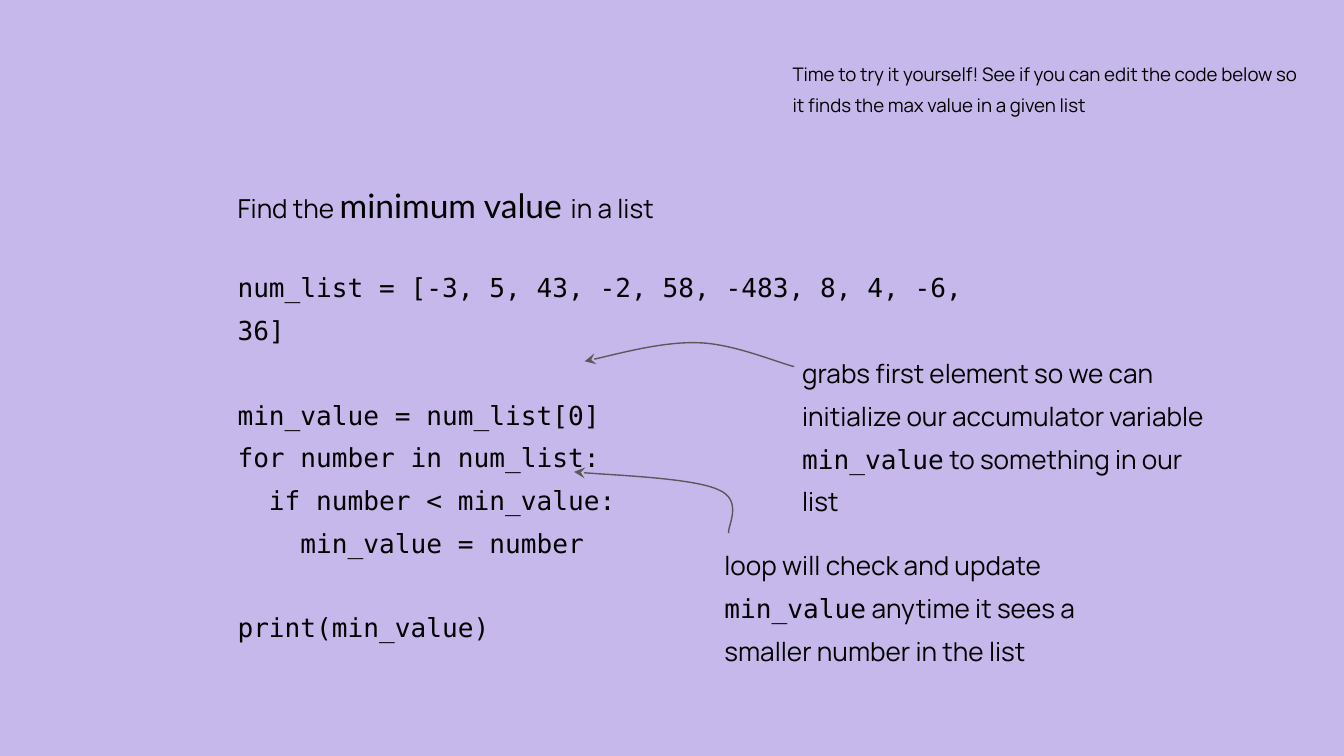
"""Build the slide on finding the minimum value in a list."""
from dataclasses import dataclass

from lxml.etree import SubElement
from pptx import Presentation
from pptx.dml.color import RGBColor as RGB
from pptx.enum.text import MSO_AUTO_SIZE as AutoSize
from pptx.oxml.ns import qn
from pptx.util import Cm, Pt


@dataclass(frozen=True)
class Theme:
    background: RGB = RGB(0xC6, 0xB8, 0xEB)
    ink: RGB = RGB(0, 0, 0)
    arrow: RGB = RGB(0x59, 0x59, 0x59)
    prose: str = "Manrope"
    accent: str = "Lato"
    code: str = "DejaVu Sans Mono"
    small: Pt = Pt(10)
    body: Pt = Pt(14)
    large: Pt = Pt(18)
    spacing: float = 1.36


theme = Theme()


def add_text(slide, place, lines):
    frame = slide.shapes.add_textbox(*map(Cm, place)).text_frame
    frame.word_wrap = True
    frame.auto_size = AutoSize.SHAPE_TO_FIT_TEXT
    frame.margin_left = frame.margin_right = Cm(0.25)
    frame.margin_top = frame.margin_bottom = Cm(0.25)
    for index, (gap, pieces) in enumerate(lines):
        paragraph = frame.add_paragraph() if index else frame.paragraphs[0]
        paragraph.line_spacing = theme.spacing
        if gap:
            paragraph.space_before = Pt(gap)
        for words, font, size in pieces:
            run = paragraph.add_run()
            run.text = words
            run.font.name, run.font.size = font, size
            run.font.color.rgb = theme.ink


def add_curved_arrow(slide, start, curves):
    builder = slide.shapes.build_freeform(*map(Cm, start))
    builder.add_line_segments([tuple(map(Cm, curve[-1])) for curve in curves], close=False)
    arrow = builder.convert_to_shape()
    arrow.shadow.inherit = False
    arrow.fill.background()
    arrow.line.color.rgb = theme.arrow
    arrow.line.width = Pt(0.75)
    SubElement(arrow.line._get_or_add_ln(), qn("a:tailEnd"), type="stealth")
    segments = list(arrow._element.iter(qn("a:lnTo")))
    for segment, curve in zip(segments, curves):
        bezier = SubElement(segment.getparent(), qn("a:cubicBezTo"))
        for x, y in curve:
            SubElement(bezier, qn("a:pt"), x=str(Cm(x) - arrow.left), y=str(Cm(y) - arrow.top))
        segment.getparent().replace(segment, bezier)


deck = Presentation()
deck.slide_width, deck.slide_height = Cm(25.4), Cm(14.29)
slide = deck.slides.add_slide(deck.slide_layouts[6])
slide.background.fill.solid()
slide.background.fill.fore_color.rgb = theme.background

heading = [
    ("Find the ", theme.prose, theme.body),
    ("minimum value ", theme.accent, theme.large),
    ("in a list", theme.prose, theme.body),
]
code = [
    (19, "num_list = [-3, 5, 43, -2, 58, -483, 8, 4, -6, 36]"),
    (22.5, "min_value = num_list[0]"),
    (0, "for number in num_list:"),
    (0, "  if number < min_value:"),
    (0, "    min_value = number"),
    (22.5, "print(min_value)"),
]
program = [(gap, [(line, theme.code, theme.body)]) for gap, line in code]
add_text(slide, (4.24, 2.97, 14.45, 8.53), [(0, heading)] + program)

explanations = [
    (14.91, 6.3, "grabs first element so we can initialize our accumulator variable ",
     " to something in our list"),
    (13.44, 9.93, "loop will check and update ",
     " anytime it sees a smaller number in the list"),
]
for left, top, before, after in explanations:
    explanation = [
        (before, theme.prose, theme.body),
        ("min_value", theme.code, theme.body),
        (after, theme.prose, theme.body),
    ]
    add_text(slide, (left, top, 8.33, 2.74), [(0, explanation)])

add_curved_arrow(slide, (15.01, 6.93), [
    [(14.71, 6.86), (13.87, 6.5), (13.21, 6.48)],
    [(12.55, 6.45), (11.4, 6.76), (11.05, 6.83)],
])
add_curved_arrow(slide, (13.77, 10.08), [
    [(13.74, 9.96), (14.07, 9.45), (13.56, 9.25)],
    [(13.08, 9.04), (11.3, 8.97), (10.85, 8.92)],
])

challenge = ("Time to try it yourself! See if you can edit the code below so "
             "it finds the max value in a given list")
add_text(slide, (14.73, 0.79, 10.16, 1.52), [(0, [(challenge, theme.prose, theme.small)])])

deck.save("out.pptx")
